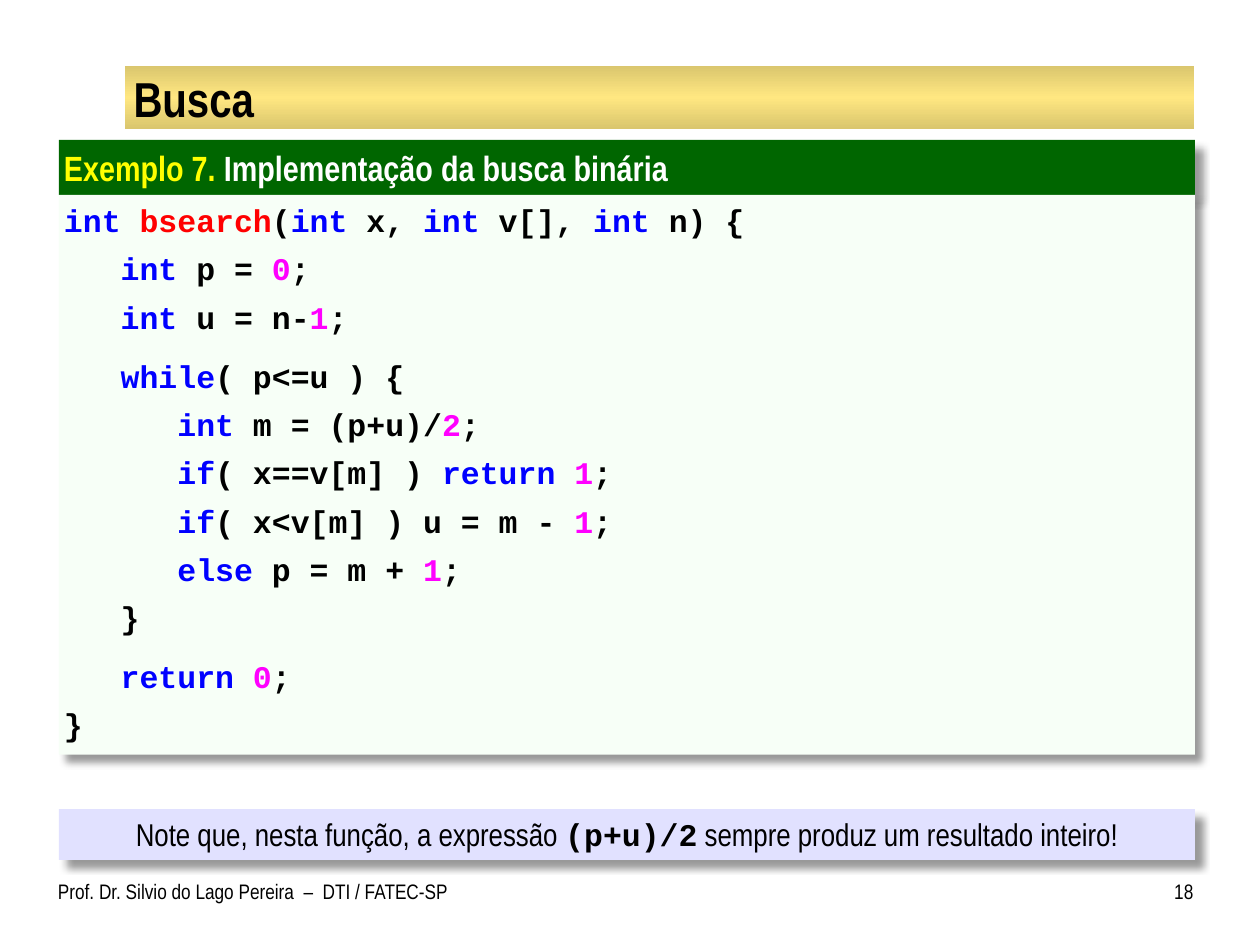
import copy

import lxml.etree
import pptx
import pptx.dml.color
import pptx.enum.shapes
import pptx.enum.text
import pptx.oxml.ns
import pptx.util

Pt = pptx.util.Pt
RGBColor = pptx.dml.color.RGBColor
Align = pptx.enum.text.PP_ALIGN
Anchor = pptx.enum.text.MSO_ANCHOR
qn = pptx.oxml.ns.qn

BLACK = RGBColor(0x00, 0x00, 0x00)
WHITE = RGBColor(0xFF, 0xFF, 0xFF)
YELLOW = RGBColor(0xFF, 0xFF, 0x00)
BLUE = RGBColor(0x00, 0x00, 0xFF)
RED = RGBColor(0xFF, 0x00, 0x00)
MAGENTA = RGBColor(0xFF, 0x00, 0xFF)
GREEN = RGBColor(0x00, 0x66, 0x00)
MINT = RGBColor(0xF7, 0xFF, 0xF7)
LILAC = RGBColor(0xE1, 0xE1, 0xFF)
GOLD = RGBColor(0xDA, 0xC6, 0x6E)
LIGHT_GOLD = RGBColor(0xFF, 0xE7, 0x81)

SANS = "Arial Narrow"
MONO = "Courier New"
PANEL_LEFT, PANEL_WIDTH = 33.7, 649.2
INDENT = 32.4  # three monospaced characters at 18 pt


def write_runs(paragraph, runs, align=Align.LEFT):
    """Add (text, font, size, bold, colour) runs to a paragraph."""
    paragraph.alignment = align
    for text, name, size, bold, colour in runs:
        run = paragraph.add_run()
        run.text = text
        for key, value in {"name": name, "size": Pt(size), "bold": bold}.items():
            setattr(run.font, key, value)
        run.font.color.rgb = colour


def add_panel(top, height, colour, margins):
    """Add a filled panel with a soft shadow and return its text frame."""
    panel = slide.shapes.add_shape(
        pptx.enum.shapes.MSO_SHAPE.RECTANGLE,
        Pt(PANEL_LEFT), Pt(top), Pt(PANEL_WIDTH), Pt(height))
    panel.fill.solid()
    panel.fill.fore_color.rgb = colour
    panel.line.fill.background()
    panel.shadow.inherit = False
    effects = panel._element.spPr.find(qn("a:effectLst"))
    shadow = lxml.etree.SubElement(
        effects, qn("a:outerShdw"), blurRad=str(Pt(4)), dist=str(Pt(6)),
        dir="2700000", algn="tl", rotWithShape="0")
    black = lxml.etree.SubElement(shadow, qn("a:srgbClr"), val="000000")
    lxml.etree.SubElement(black, qn("a:alpha"), val="40000")
    frame = panel.text_frame
    layout = {
        "margin_left": Pt(margins[0]), "margin_right": Pt(margins[1]),
        "margin_top": Pt(3.6), "margin_bottom": Pt(3.6),
        "vertical_anchor": Anchor.TOP, "word_wrap": True,
        "auto_size": pptx.enum.text.MSO_AUTO_SIZE.SHAPE_TO_FIT_TEXT,
    }
    for key, value in layout.items():
        setattr(frame, key, value)
    return frame


deck = pptx.Presentation()
deck.slide_width, deck.slide_height = Pt(720), Pt(540)
slide = deck.slides.add_slide(deck.slide_layouts[5])

# Title on its golden band
band = slide.shapes.add_shape(
    pptx.enum.shapes.MSO_SHAPE.RECTANGLE, Pt(71.4), Pt(37.6), Pt(611), Pt(36))
band.shadow.inherit = False
band.line.fill.background()
band.fill.gradient()
band.fill.gradient_angle = 90
edge, middle = band.fill.gradient_stops
edge.color.rgb, edge.position = GOLD, 0
middle.color.rgb, middle.position = LIGHT_GOLD, 0.5
stops = band._element.spPr.find(".//" + qn("a:gsLst"))
far_edge = copy.deepcopy(stops[0])
far_edge.set("pos", "100000")
stops.append(far_edge)

heading = slide.shapes.title
slide.shapes._spTree.append(heading._element)
heading_format = {"left": 72, "top": 38.9, "width": 610, "height": 33.8}
for key, value in heading_format.items():
    setattr(heading, key, Pt(value))
heading_frame = heading.text_frame
heading_layout = {
    "margin_left": Pt(4.3), "margin_right": Pt(4.3),
    "margin_top": Pt(0.7), "margin_bottom": Pt(0.7),
    "vertical_anchor": Anchor.MIDDLE, "word_wrap": True,
    "auto_size": pptx.enum.text.MSO_AUTO_SIZE.NONE,
}
for key, value in heading_layout.items():
    setattr(heading_frame, key, value)
write_runs(heading_frame.paragraphs[0], [("Busca", SANS, 28, True, BLACK)])

# Footer: author and page number
footers = [
    ("Prof. Dr. Silvio do Lago Pereira  –  DTI / FATEC-SP",
     33.1, 235.6, 0, 7.2, Align.LEFT),
    ("18", 653.8, 28.1, 7.2, 0, Align.RIGHT),
]
for text, left, width, margin_left, margin_right, align in footers:
    footer = slide.shapes.add_textbox(Pt(left), Pt(498.2), Pt(width), Pt(30.2))
    footer_layout = {"margin_left": Pt(margin_left),
                     "margin_right": Pt(margin_right), "word_wrap": True}
    for key, value in footer_layout.items():
        setattr(footer.text_frame, key, value)
    write_runs(footer.text_frame.paragraphs[0],
               [(text, SANS, 12, False, BLACK)], align)

# Example header
example = add_panel(80, 31.4, GREEN, (2.9, 7.2))
write_runs(example.paragraphs[0], [
    ("Exemplo 7.", SANS, 20, True, YELLOW),
    (" Implementação da busca binária", SANS, 20, True, WHITE),
])

# Code listing: indent level, space before, tokens split by bars
token_colours = {"bsearch": RED}
token_colours.update(dict.fromkeys(["int", "while", "if", "else", "return"], BLUE))
token_colours.update(dict.fromkeys("012", MAGENTA))
code_lines = [
    (0, 6, "int |bsearch|(|int| x, |int| v[], |int| n) {"),
    (1, 6, "int| p = |0|;"),
    (1, 6, "int| u = n-|1|;"),
    (1, 12, "while|( p<=u ) {"),
    (2, 6, "int| m = (p+u)/|2|;"),
    (2, 6, "if|( x==v[m] ) |return |1|;"),
    (2, 6, "if|( x<v[m] ) u = m - |1|;"),
    (2, 6, "else| p = m + |1|;"),
    (1, 6, "}"),
    (1, 12, "return |0|;"),
    (0, 6, "}"),
]
code = add_panel(111.4, 319.9, MINT, (2.9, 2.9))
for number, (level, space, tokens) in enumerate(code_lines):
    line = code.add_paragraph() if number else code.paragraphs[0]
    line.space_before = Pt(space)
    write_runs(line, [
        (token, MONO, 18, True, token_colours.get(token.strip(), BLACK))
        for token in tokens.split("|")
    ])
    line._p.get_or_add_pPr().set("marL", str(Pt(level * INDENT)))

# Closing remark
remark = add_panel(462.3, 29.1, LILAC, (7.2, 7.2))
write_runs(remark.paragraphs[0], [
    ("Note que, nesta função, a expressão ", SANS, 18, False, BLACK),
    ("(p+u)/2", MONO, 18, True, BLACK),
    (" sempre produz um resultado inteiro!", SANS, 18, False, BLACK),
], Align.CENTER)

deck.save("out.pptx")
